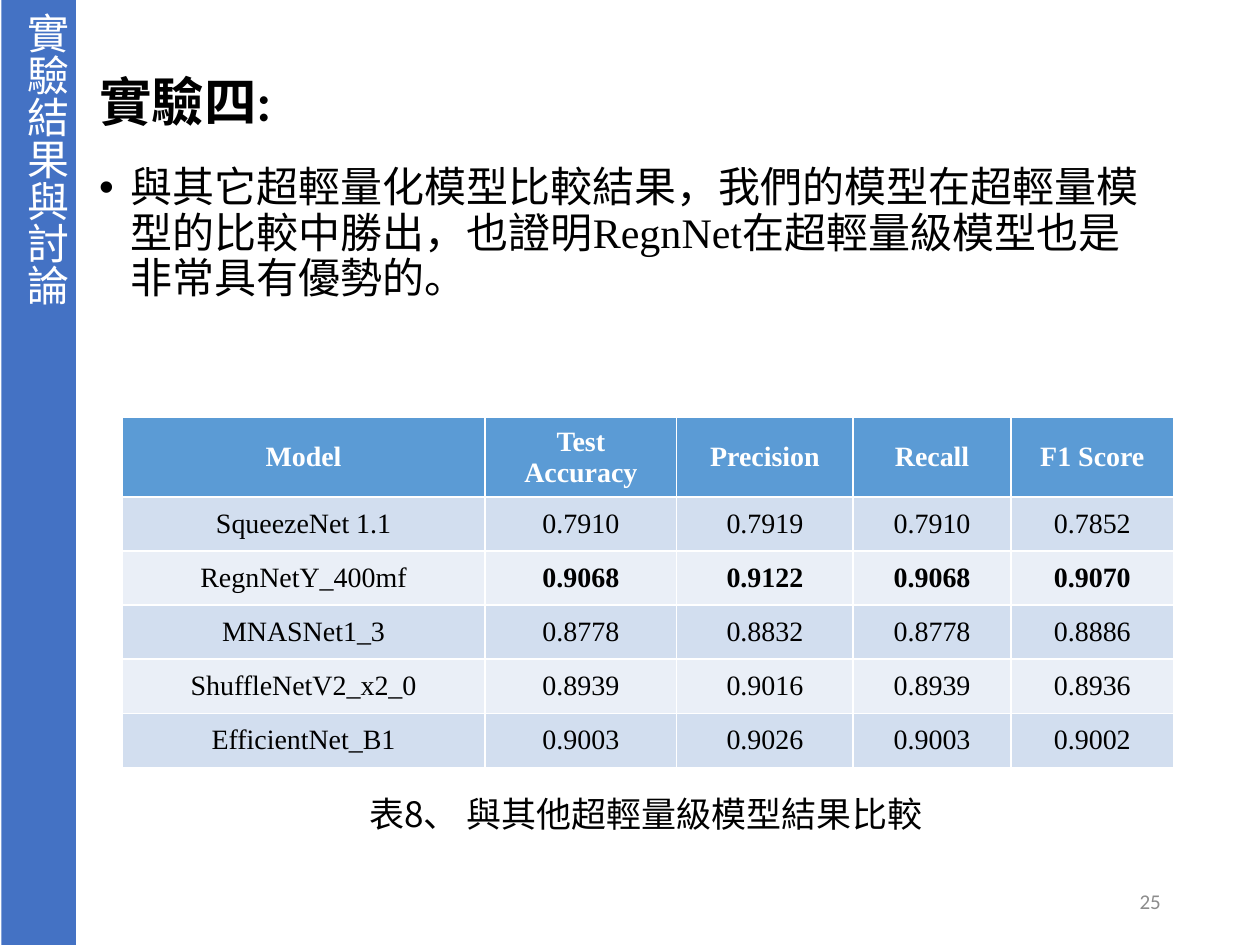
from dataclasses import dataclass, field

from lxml import etree
from pptx import Presentation
from pptx import util as u
from pptx.dml.color import RGBColor
from pptx.enum import shapes, text
from pptx.oxml import ns

BLACK = RGBColor(0x00, 0x00, 0x00)
WHITE = RGBColor(0xFF, 0xFF, 0xFF)
GREY = RGBColor(0x8C, 0x8C, 0x8C)
BAR = RGBColor(0x44, 0x72, 0xC4)
HEAD = RGBColor(0x5B, 0x9B, 0xD5)
BANDS = RGBColor(0xD2, 0xDE, 0xEF), RGBColor(0xEA, 0xEF, 0xF7)

TIMES, SANS, CALIBRI = "Times New Roman", "Noto Sans CJK SC", "Calibri"
MID = text.MSO_ANCHOR.MIDDLE


@dataclass
class Box:
    at: tuple[float, float, float, float]
    runs: list[tuple[str, str]]
    size: int
    color: RGBColor = BLACK
    bold: bool = False
    frame: dict = field(default_factory=dict)
    para: dict = field(default_factory=dict)
    upright: bool = False
    bullet: bool = False


BOXES = [
    Box((1.75, 0.53, 21.9, 2.36), [("實驗四:", CALIBRI)], 30, bold=True,
        frame={"vertical_anchor": MID}, para={"line_spacing": 1.5}),
    Box((17.93, 17.65, 5.72, 1.02), [("25", CALIBRI)], 12, GREY,
        frame={"vertical_anchor": MID},
        para={"alignment": text.PP_ALIGN.RIGHT}),
    Box((0.03, 0, 1.55, 18.67), [("實驗結果與討論", TIMES)], 24, WHITE,
        upright=True),
    Box((1.75, 3.23, 21.9, 14.1),
        [("與其它超輕量化模型比較結果，我們的模型在超輕量模型的比較中勝出，也證明", SANS),
         ("RegnNet", TIMES),
         ("在超輕量級模型也是非常具有優勢的。", SANS)], 24,
        para={"line_spacing": 0.9, "space_before": u.Pt(10)}, bullet=True),
    Box((7.19, 15.85, 11.73, 1.12),
        [("表8、 ", SANS), ("與其他超輕量級模型結果比較", TIMES)], 20),
]

COLS = [7.32, 3.86, 3.56, 3.18, 3.28]
ROW = 1.09
BEST = "RegnNetY_400mf"
ROWS = [
    ["Model", "Test Accuracy", "Precision", "Recall", "F1 Score"],
    ["SqueezeNet 1.1", "0.7910", "0.7919", "0.7910", "0.7852"],
    [BEST, "0.9068", "0.9122", "0.9068", "0.9070"],
    ["MNASNet1_3", "0.8778", "0.8832", "0.8778", "0.8886"],
    ["ShuffleNetV2_x2_0", "0.8939", "0.9016", "0.8939", "0.8936"],
    ["EfficientNet_B1", "0.9003", "0.9026", "0.9003", "0.9002"],
]


def apply(item, values: dict) -> None:
    for name, value in values.items():
        setattr(item, name, value)


def add_run(para, words: str, face: str, size: int, color: RGBColor,
            bold: bool) -> None:
    run = para.add_run()
    run.text = words
    apply(run.font, {"name": face, "size": u.Pt(size), "bold": bold})
    run.font.color.rgb = color
    east = etree.SubElement(run.font._element, ns.qn("a:ea"))
    east.set("typeface", SANS)


def add_bullet(para) -> None:
    props = para._p.get_or_add_pPr()
    props.set("marL", str(u.Cm(0.64)))
    props.set("indent", str(u.Cm(-0.64)))
    face = etree.SubElement(props, ns.qn("a:buFont"))
    face.set("typeface", "Arial")
    mark = etree.SubElement(props, ns.qn("a:buChar"))
    mark.set("char", "•")


def draw_box(slide, box: Box) -> None:
    frame = slide.shapes.add_textbox(*map(u.Cm, box.at)).text_frame
    apply(frame, {"word_wrap": True, **box.frame})
    if box.upright:
        frame._txBody.bodyPr.set("vert", "eaVert")
    para = frame.paragraphs[0]
    apply(para, box.para)
    if box.bullet:
        add_bullet(para)
    for words, face in box.runs:
        add_run(para, words, face, box.size, box.color, box.bold)


def draw_bar(slide) -> None:
    bar = slide.shapes.add_shape(shapes.MSO_SHAPE.RECTANGLE, u.Cm(0.03), 0,
                                 u.Cm(1.5), u.Cm(19.05))
    bar.shadow.inherit = False
    bar.fill.solid()
    bar.fill.fore_color.rgb = BAR
    bar.line.fill.background()


def draw_table(slide) -> None:
    table = slide.shapes.add_table(
        len(ROWS), len(COLS), u.Cm(2.46), u.Cm(8.41),
        u.Cm(sum(COLS)), u.Cm(ROW * len(ROWS))).table
    for col, width in zip(table.columns, COLS):
        col.width = u.Cm(width)
    for r, row in enumerate(ROWS):
        for c, words in enumerate(row):
            cell = table.cell(r, c)
            cell.vertical_anchor = MID
            cell.fill.solid()
            cell.fill.fore_color.rgb = BANDS[(r - 1) % 2] if r else HEAD
            para = cell.text_frame.paragraphs[0]
            para.alignment = text.PP_ALIGN.CENTER
            bold = r == 0 or (row[0] == BEST and c > 0)
            add_run(para, words, TIMES, 16, BLACK if r else WHITE, bold)


def main() -> None:
    deck = Presentation()
    apply(deck, {"slide_width": u.Cm(25.4), "slide_height": u.Cm(19.05)})
    slide = deck.slides.add_slide(deck.slide_layouts[6])
    draw_bar(slide)
    for box in BOXES[:-1]:
        draw_box(slide, box)
    draw_table(slide)
    draw_box(slide, BOXES[-1])
    deck.save("out.pptx")


if __name__ == "__main__":
    main()
